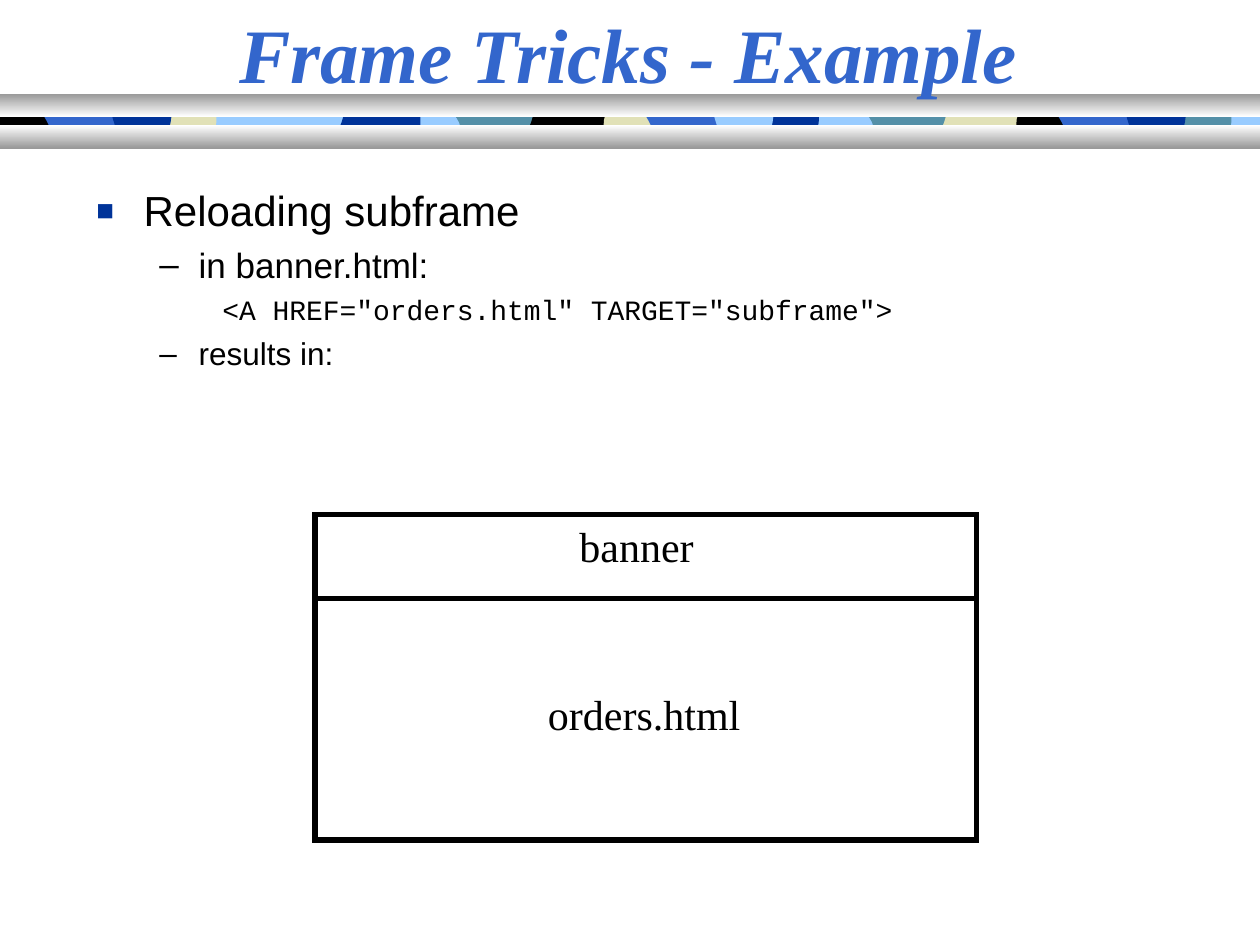
from dataclasses import dataclass

from lxml import etree
from pptx import Presentation
from pptx.dml.color import RGBColor
from pptx.enum import shapes, text
from pptx.oxml import ns
from pptx.util import Pt

BLACK, NAVY, BLUE = "000000", "003399", "3366CC"
SKY, TEAL, CREAM = "99CCFF", "5490A8", "E1E1B7"
SERIF, SANS, MONO = "Times New Roman", "Arial", "Courier New"
CHIP_TOP, CHIP_BOTTOM, CURVE_STEPS = 61.2, 81.4, 8

Point = tuple[float, float]
Curve = tuple[Point, Point, Point]


@dataclass(frozen=True)
class Outline:
    width: float
    left: tuple[Curve, ...]
    right: tuple[Curve, ...] = ()


@dataclass(frozen=True)
class Chip:
    outline: Outline
    left: float
    color: str


@dataclass(frozen=True)
class Bar:
    top: float
    upper: str
    lower: str


@dataclass(frozen=True)
class Item:
    wording: str
    level: int
    size: float
    font: str
    margin: float
    indent: float
    before: float
    bullet: str = ""
    bullet_color: str = BLACK
    bullet_scale: int = 100


@dataclass(frozen=True)
class Label:
    wording: str
    left: float
    top: float
    width: float


WAVE = Outline(45, (((7.9, 67.7), (-7.9, 64.8), (0, CHIP_TOP)),))
HOOK = Outline(45, (((-7.9, 78.5), (5, 67.7), (0, CHIP_TOP)),))
PILL = Outline(
    23.4,
    (((-4.3, 78.5), (-4.3, 64.8), (0, CHIP_TOP)),),
    (((4.7, 62.6), (4.3, 66.2), (4.3, 69.1)),
     ((4.3, 72.7), (0.7, 79.2), (0, CHIP_BOTTOM))),
)
NOTCH_RIGHT = (((-4.7, 74.2), (0, 77.8), (0, CHIP_BOTTOM)),)
NOTCH = Outline(31.5, (((-5.4, 78.5), (-5.4, 64.8), (0, CHIP_TOP)),), NOTCH_RIGHT)
EDGE = Outline(36.5, (), NOTCH_RIGHT)
DENT = Outline(
    45,
    (((5.8, 78.5), (5.8, 77), (5.4, 74.2)),
     ((5.4, 70.6), (0, 64.8), (0, CHIP_TOP))),
)
BULGE = Outline(
    29.5,
    (((-5, 80.6), (0, 77), (0, 74.2)),
     ((0, 70.6), (-5, 63.4), (0, CHIP_TOP))),
    (((5, 64.1), (0, 74.9), (0, 78.5)),),
)

CHIPS = [
    Chip(WAVE, 497, TEAL), Chip(HOOK, 539.5, CREAM), Chip(PILL, 676, TEAL),
    Chip(NOTCH, 584.8, BLACK), Chip(DENT, 602.8, BLUE), Chip(BULGE, 645.8, NAVY),
    Chip(WAVE, 261, TEAL), Chip(HOOK, 303.5, BLACK), Chip(PILL, 440.2, NAVY),
    Chip(NOTCH, 349, CREAM), Chip(DENT, 367.2, BLUE), Chip(BULGE, 410.2, SKY),
    Chip(WAVE, 152.6, SKY), Chip(HOOK, 195.2, NAVY), Chip(PILL, 96, CREAM),
    Chip(EDGE, 0, BLACK), Chip(DENT, 23.2, BLUE), Chip(BULGE, 66.2, NAVY),
]
BARS = [Bar(53.7, "999999", "FFFFFF"), Bar(71.7, "FFFFFF", "999999")]
ITEMS = [
    Item("Reloading subframe", 0, 24, SANS, 27, -27, 6, "■", NAVY, 70),
    Item("in banner.html:", 1, 20, SANS, 58.5, -22.5, 5, "–"),
    Item('<A HREF="orders.html" TARGET="subframe">', 2, 16, MONO, 90, -18, 4),
    Item("results in:", 1, 18, SANS, 58.5, -22.5, 4.5, "–"),
]
LABELS = [Label("banner", 324, 294, 82), Label("orders.html", 306, 390, 126)]


def rgb(color: str) -> RGBColor:
    return RGBColor.from_string(color)


def fill_plain(shape, color: str) -> None:
    shape.shadow.inherit = False
    shape.fill.solid()
    shape.fill.fore_color.rgb = rgb(color)
    shape.line.fill.background()


def format_runs(paragraph, font: str, size: float, color: str = BLACK) -> None:
    for run in paragraph.runs:
        run.font.name = font
        run.font.size = Pt(size)
        run.font.color.rgb = rgb(color)


def trace(start: Point, curves: tuple[Curve, ...], offset: float) -> list[Point]:
    points = [start]
    for curve in curves:
        corners = [points[-1]] + [(offset + x, y) for x, y in curve]
        for step in range(1, CURVE_STEPS + 1):
            t = step / CURVE_STEPS
            weights = ((1 - t) ** 3, 3 * t * (1 - t) ** 2, 3 * t * t * (1 - t), t ** 3)
            points.append(tuple(
                sum(w * corner[axis] for w, corner in zip(weights, corners))
                for axis in (0, 1)
            ))
    return points


def draw_chip(slide, chip: Chip) -> None:
    right = chip.left + chip.outline.width
    points = trace((chip.left, CHIP_BOTTOM), chip.outline.left, chip.left)
    points.append((chip.left, CHIP_TOP))
    points += trace((right, CHIP_TOP), chip.outline.right, right)
    points.append((right, CHIP_BOTTOM))
    corners = [(Pt(x), Pt(y)) for x, y in points]
    builder = slide.shapes.build_freeform(*corners[0])
    builder.add_line_segments(corners[1:], close=True)
    fill_plain(builder.convert_to_shape(), chip.color)


def add_rectangle(slide, left: float, top: float, width: float, height: float):
    return slide.shapes.add_shape(
        shapes.MSO_SHAPE.RECTANGLE, Pt(left), Pt(top), Pt(width), Pt(height))


def draw_bar(slide, bar: Bar) -> None:
    strip = add_rectangle(slide, 0, bar.top, 720, 13)
    strip.shadow.inherit = False
    strip.line.fill.background()
    strip.fill.gradient()
    strip.fill.gradient_angle = 270
    for stop, color in zip(strip.fill.gradient_stops, (bar.upper, bar.lower)):
        stop.color.rgb = rgb(color)


def write_item(paragraph, item: Item) -> None:
    paragraph.text = item.wording
    paragraph.level = item.level
    paragraph.space_before = Pt(item.before)
    format_runs(paragraph, item.font, item.size)
    properties = paragraph._p.get_or_add_pPr()
    properties.set("marL", str(Pt(item.margin)))
    properties.set("indent", str(Pt(item.indent)))
    if not item.bullet:
        etree.SubElement(properties, ns.qn("a:buNone"))
        return
    bullet_color = etree.SubElement(properties, ns.qn("a:buClr"))
    etree.SubElement(bullet_color, ns.qn("a:srgbClr"), val=item.bullet_color)
    etree.SubElement(properties, ns.qn("a:buSzPct"), val=str(item.bullet_scale * 1000))
    etree.SubElement(properties, ns.qn("a:buFont"), typeface=SANS)
    etree.SubElement(properties, ns.qn("a:buChar"), char=item.bullet)


def place_title(slide) -> None:
    title = slide.shapes.title
    title.element.getparent().append(title.element)
    title.left, title.top, title.width, title.height = Pt(0), Pt(0), Pt(718), Pt(60)
    frame = title.text_frame
    frame.text = "Frame Tricks - Example"
    frame.auto_size = text.MSO_AUTO_SIZE.NONE
    frame.vertical_anchor = text.MSO_ANCHOR.MIDDLE
    heading = frame.paragraphs[0]
    heading.alignment = text.PP_ALIGN.CENTER
    format_runs(heading, SERIF, 44, BLUE)
    heading.runs[0].font.bold = heading.runs[0].font.italic = True


def draw_items(slide) -> None:
    frame = slide.shapes.add_textbox(Pt(48), Pt(102), Pt(642), Pt(420)).text_frame
    frame.word_wrap = True
    for index, item in enumerate(ITEMS):
        write_item(frame.add_paragraph() if index else frame.paragraphs[0], item)


def draw_frameset(slide) -> None:
    window = add_rectangle(slide, 180, 294, 378, 186)
    window.shadow.inherit = False
    window.fill.background()
    divider = slide.shapes.add_connector(
        shapes.MSO_CONNECTOR.STRAIGHT, Pt(180), Pt(342), Pt(558), Pt(342))
    for border in (window, divider):
        border.line.color.rgb = rgb(BLACK)
        border.line.width = Pt(3)
        outline = border.element.spPr.find(ns.qn("a:ln"))
        etree.SubElement(outline, ns.qn("a:miter"), lim="800000")
    etree.SubElement(divider.element.spPr, ns.qn("a:effectLst"))


def draw_label(slide, label: Label) -> None:
    frame = slide.shapes.add_textbox(
        Pt(label.left), Pt(label.top), Pt(label.width), Pt(36)).text_frame
    frame.text = label.wording
    frame.word_wrap = False
    frame.auto_size = text.MSO_AUTO_SIZE.NONE
    frame.paragraphs[0].alignment = text.PP_ALIGN.LEFT
    format_runs(frame.paragraphs[0], SERIF, 24)


def main() -> None:
    deck = Presentation()
    deck.slide_width, deck.slide_height = Pt(720), Pt(540)
    slide = deck.slides.add_slide(deck.slide_layouts.get_by_name("Title Only"))
    fill_plain(add_rectangle(slide, 0, 62, 720, 20), SKY)
    for chip in CHIPS:
        draw_chip(slide, chip)
    for bar in BARS:
        draw_bar(slide, bar)
    place_title(slide)
    draw_items(slide)
    draw_frameset(slide)
    for label in LABELS:
        draw_label(slide, label)
    deck.save("out.pptx")


if __name__ == "__main__":
    main()
